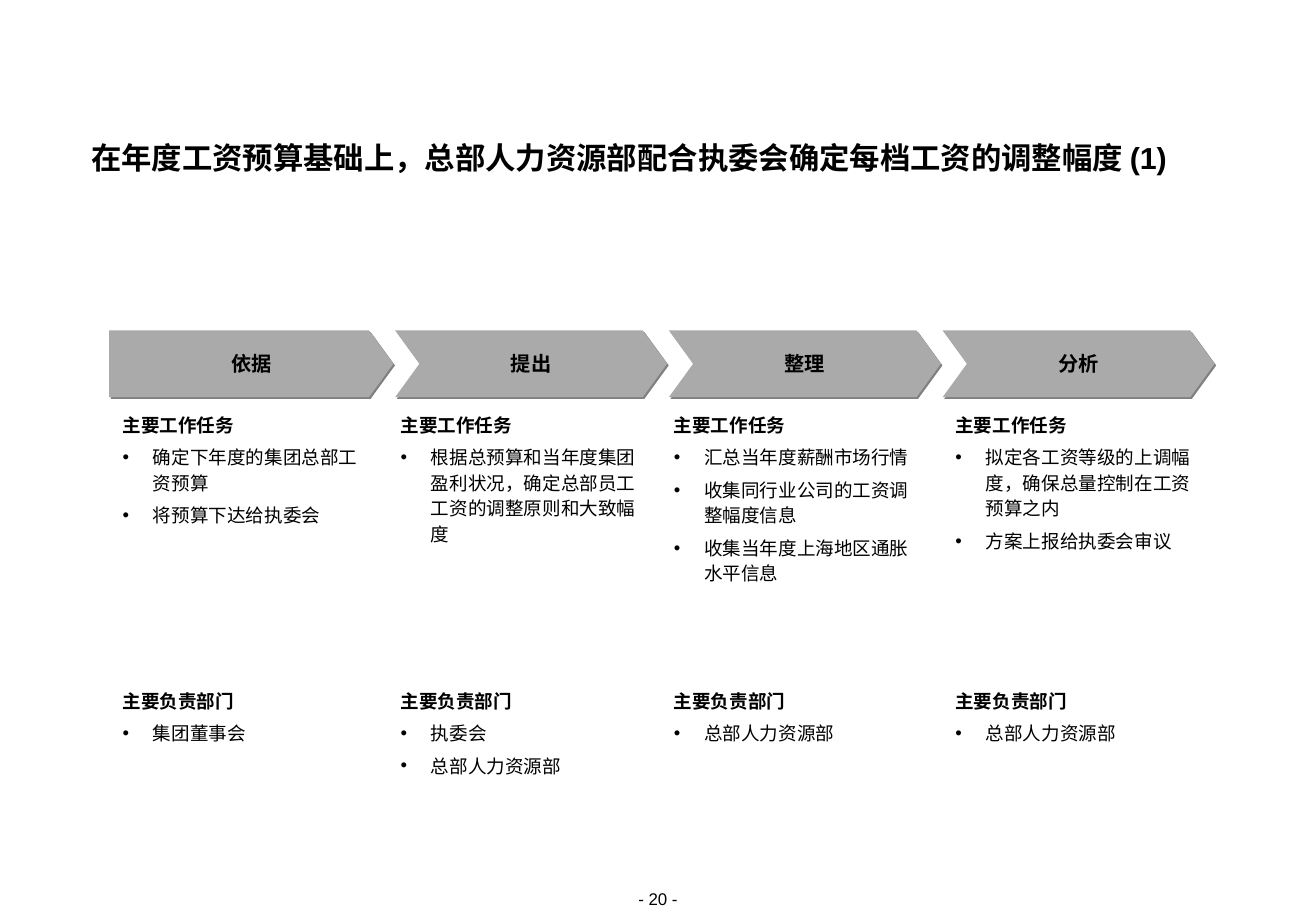
import pptx
import pptx.dml.color
import pptx.enum.text
import pptx.oxml
import pptx.oxml.ns
import pptx.util
from pptx.util import Inches

BLACK = pptx.dml.color.RGBColor(0x00, 0x00, 0x00)
ARROW_GRAY = pptx.dml.color.RGBColor(0xAA, 0xAA, 0xAA)
SHADOW_GRAY = pptx.dml.color.RGBColor(0x80, 0x80, 0x80)
NAMESPACE = pptx.oxml.ns.nsdecls("a")
CENTER = pptx.enum.text.PP_ALIGN.CENTER

TITLE = "在年度工资预算基础上，总部人力资源部配合执委会确定每档工资的调整幅度 (1)"
# Step name, left edge of its texts, tasks, departments
STEPS = [
    ("依据", 1.01, ["确定下年度的集团总部工资预算", "将预算下达给执委会"], ["集团董事会"]),
    ("提出", 3.3, ["根据总预算和当年度集团盈利状况，确定总部员工工资的调整原则和大致幅度"],
     ["执委会", "总部人力资源部"]),
    ("整理", 5.55, ["汇总当年度薪酬市场行情", "收集同行业公司的工资调整幅度信息",
                  "收集当年度上海地区通胀水平信息"], ["总部人力资源部"]),
    ("分析", 7.87, ["拟定各工资等级的上调幅度，确保总量控制在工资预算之内",
                  "方案上报给执委会审议"], ["总部人力资源部"]),
]


def clear_margins(frame):
    frame.margin_left = frame.margin_top = frame.margin_right = frame.margin_bottom = 0


def style_font(paragraph, size, bold=False):
    font = paragraph.font
    font.name = "Arial"
    font.size = pptx.util.Pt(size)
    font.bold = bold
    font.color.rgb = BLACK


def add_text_frame(slide, left, top, width, height):
    box = slide.shapes.add_textbox(Inches(left), Inches(top), Inches(width), Inches(height))
    frame = box.text_frame
    frame.word_wrap = True
    clear_margins(frame)
    return frame


def add_title(slide, left, top, width, height):
    paragraph = add_text_frame(slide, left, top, width, height).paragraphs[0]
    paragraph.text = TITLE
    paragraph.line_spacing = pptx.util.Pt(20)
    style_font(paragraph, 18, bold=True)


def add_page_number(slide, left, top, width, height):
    paragraph = add_text_frame(slide, left, top, width, height).paragraphs[0]
    paragraph.text = "- 20 -"
    paragraph.alignment = CENTER
    style_font(paragraph, 10)


def add_step_arrow(slide, name, left, top, width, height, notched):
    tip = 0.2
    right, middle, bottom = left + width, top + height / 2, top + height
    outline = [(right - tip, top), (right, middle), (right - tip, bottom), (left, bottom)]
    if notched:
        outline.append((left + tip, middle))
    builder = slide.shapes.build_freeform(Inches(left), Inches(top))
    builder.add_line_segments([(Inches(x), Inches(y)) for x, y in outline], close=True)
    arrow = builder.convert_to_shape()
    arrow.fill.solid()
    arrow.fill.fore_color.rgb = ARROW_GRAY
    arrow.line.fill.background()

    # Hard shadow to the lower right
    arrow.shadow.inherit = False
    effects = arrow._element.spPr.find(pptx.oxml.ns.qn("a:effectLst"))
    effects.append(pptx.oxml.parse_xml(
        f'<a:outerShdw {NAMESPACE} dist="{pptx.util.Pt(1.4)}" dir="2700000" algn="ctr" '
        f'rotWithShape="0"><a:srgbClr val="{SHADOW_GRAY}"/></a:outerShdw>'))

    frame = arrow.text_frame
    frame.word_wrap = False
    frame.vertical_anchor = pptx.enum.text.MSO_ANCHOR.MIDDLE
    clear_margins(frame)
    paragraph = frame.paragraphs[0]
    paragraph.text = name
    paragraph.alignment = CENTER
    paragraph.line_spacing = pptx.util.Pt(14)
    style_font(paragraph, 12, bold=True)


def add_bullet(paragraph):
    properties = paragraph._p.get_or_add_pPr()
    properties.set("marL", str(Inches(0.25)))
    properties.set("indent", str(-Inches(0.25)))
    for xml in (f'<a:buClr {NAMESPACE}><a:srgbClr val="{BLACK}"/></a:buClr>',
                f'<a:buFont {NAMESPACE} typeface="Arial"/>',
                f'<a:buChar {NAMESPACE} char="•"/>'):
        properties.append(pptx.oxml.parse_xml(xml))


def add_list(slide, heading, items, left, top, width, height):
    frame = add_text_frame(slide, left, top, width, height)
    paragraph = frame.paragraphs[0]
    paragraph.text = heading
    paragraph.line_spacing = 1.15
    style_font(paragraph, 11, bold=True)
    for item in items:
        paragraph = frame.add_paragraph()
        paragraph.text = item
        add_bullet(paragraph)
        paragraph.line_spacing = 1.15
        paragraph.space_before = pptx.util.Pt(4.1)
        style_font(paragraph, 11)


def add_process(slide, left, top):
    # The first arrow is flat on the left and slightly wider
    first_width, arrow_width, arrow_height, gap = 2.34, 2.24, 0.55, 0.015
    arrow_left = left
    for index, (name, text_left, tasks, departments) in enumerate(STEPS):
        width = arrow_width if index else first_width
        add_step_arrow(slide, name, arrow_left, top, width, arrow_height, notched=index > 0)
        arrow_left += width + gap
        add_list(slide, "主要工作任务", tasks, text_left, top + 0.66, 2.08, 1.2)
        add_list(slide, "主要负责部门", departments, text_left, top + 2.93, 2.08, 0.6)


def main():
    presentation = pptx.Presentation()
    presentation.slide_width = Inches(10.84)
    presentation.slide_height = Inches(7.5)
    slide = presentation.slides.add_slide(presentation.slide_layouts[6])
    add_page_number(slide, 4.85, 7.32, 1.14, 0.17)
    add_title(slide, 0.75, 1.17, 9.33, 0.28)
    add_process(slide, 0.9, 2.72)
    presentation.save("out.pptx")


if __name__ == "__main__":
    main()
